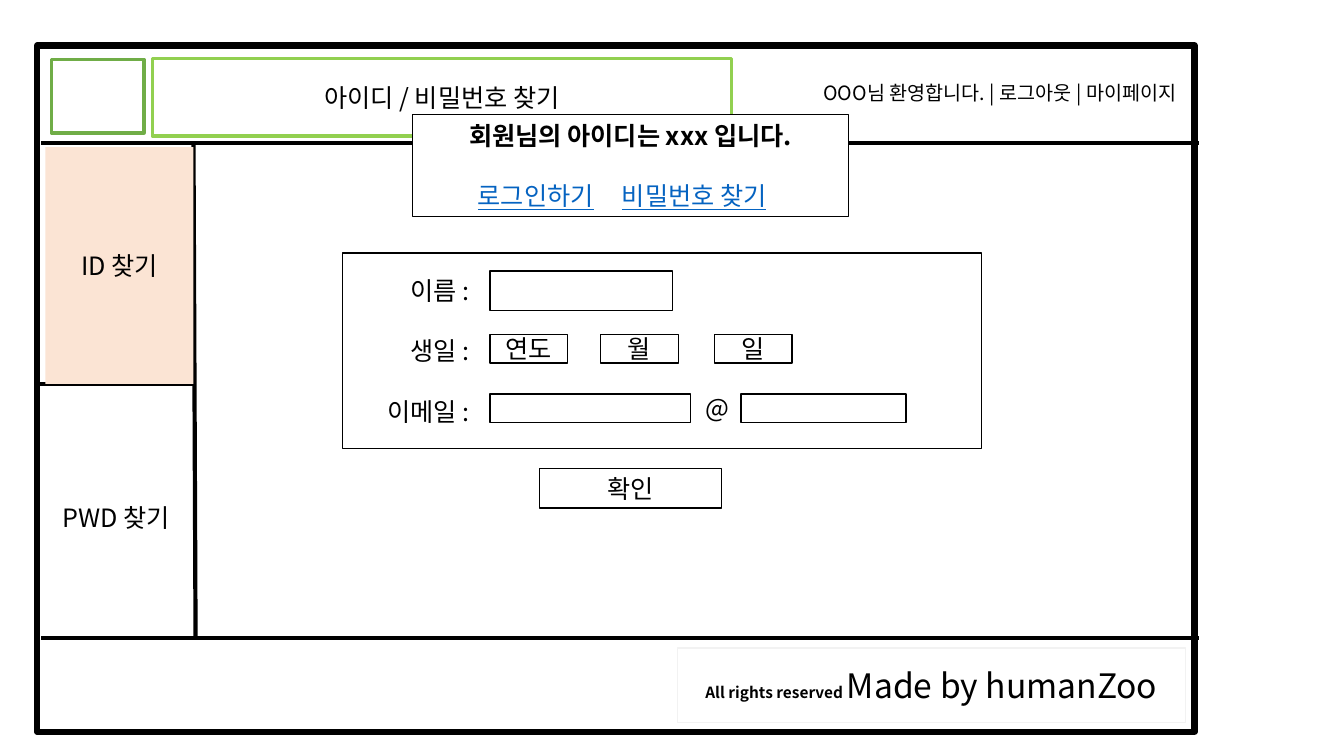
from lxml.etree import SubElement
from pptx import Presentation
from pptx.dml.color import RGBColor as Rgb
from pptx.enum.shapes import MSO_CONNECTOR as Conn, MSO_SHAPE as Kind
from pptx.enum.text import MSO_ANCHOR as Anchor, MSO_AUTO_SIZE as Fit, PP_ALIGN as Align
from pptx.oxml.ns import qn
from pptx.util import Pt

FONT = "Noto Sans CJK KR"
BLACK, WHITE, LINK = "000000", "FFFFFF", "0563C1"
LEAD = 21.6


def tint(item, code):
    """Set a fill or font colour from a hex string."""
    if hasattr(item, "solid"):
        item.solid()
        item.fore_color.rgb = Rgb.from_string(code)
    else:
        item.color.rgb = Rgb.from_string(code)


def style(font, size=18, bold=False, color=BLACK):
    """Format a paragraph or run font."""
    font.name, font.size, font.bold = FONT, Pt(size), bold
    tint(font, color)
    SubElement(font._element, qn("a:ea"), typeface=FONT)


def paint(shape, fill, line, width):
    """Fill and outline a shape, with its text in the middle."""
    tint(shape.fill, fill)
    if line:
        tint(shape.line.fill, line)
        shape.line.width = Pt(width)
    else:
        shape.line.fill.background()
    shape.text_frame.vertical_anchor = Anchor.MIDDLE


def write(para, text, align=Align.CENTER, **look):
    """Put styled text in a paragraph."""
    para.text = text
    para.alignment = align
    style(para.font, **look)


def box(slide, left, top, wide, high, text="", fill=WHITE, line=BLACK,
        width=1, align=Align.CENTER, **look):
    """Add a rectangle with optional text."""
    shape = slide.shapes.add_shape(Kind.RECTANGLE, Pt(left), Pt(top), Pt(wide), Pt(high))
    shape.shadow.inherit = False
    paint(shape, fill, line, width)
    if text:
        write(shape.text_frame.paragraphs[0], text, align, **look)
    return shape


def rule(slide, *ends):
    """Add a thick black line."""
    line = slide.shapes.add_connector(Conn.STRAIGHT, *map(Pt, ends))
    tint(line.line.fill, BLACK)
    line.line.width = Pt(3)
    SubElement(line._element.spPr, qn("a:effectLst"))


def head(slide, text):
    """Place the title in front of the shapes made so far."""
    title = slide.shapes.title
    title.left, title.top, title.width, title.height = map(Pt, (108.7, 41.8, 414, 55.4))
    slide.shapes._spTree.append(title._element)
    paint(title, WHITE, "92D050", 2.25)
    title.text_frame.auto_size = Fit.NONE
    write(title.text_frame.paragraphs[0], text)


def space(para, first):
    """Set one line of text, with a line of room above all but the first."""
    para.line_spacing = Pt(LEAD)
    if not first:
        para.space_before = Pt(LEAD)


def form(slide):
    """Draw the search form with its labels and fields."""
    panel = box(slide, 244.8, 180.7, 456.5, 139.7)
    frame = panel.text_frame
    frame.margin_right = Pt(366)
    for row, label in enumerate(("이름 :", "생일 :", "이메일 :")):
        para = frame.add_paragraph() if row else frame.paragraphs[0]
        space(para, not row)
        write(para, label, Align.RIGHT)
    left = 349.9
    box(slide, left, 193.7, 130.3, 28.1)
    for start, part in ((left, "연도"), (429.1, "월"), (510.5, "일")):
        box(slide, start, 239, 55.4, 20.2, part)
    box(slide, left, 281.5, 143.3, 20.2)
    box(slide, 496.8, 281.5, 25.2, 19.4, "@", line=None)
    box(slide, 529.2, 281.5, 118.1, 20.2)
    box(slide, 385.2, 334.8, 130.3, 28.1, "확인")


def popup(slide):
    """Draw the result message with its two links."""
    frame = box(slide, 294.5, 82.1, 311.8, 72.7, "회원님의 아이디는 xxx 입니다.",
                width=0.75, bold=True).text_frame
    frame.vertical_anchor = Anchor.TOP
    space(frame.paragraphs[0], True)
    links = frame.add_paragraph()
    space(links, False)
    links.alignment = Align.LEFT
    stops = SubElement(links._p.get_or_add_pPr(), qn("a:tabLst"))
    for stop in (39.7, 142.6):
        SubElement(stops, qn("a:tab"), pos=str(Pt(stop)), algn="l")
    style(links.font, color=LINK)
    for text in ("로그인하기", "비밀번호 찾기"):
        links.add_run().text = "\t"
        link = links.add_run()
        link.text = text
        link.font.underline = True


def main():
    """Build and save the slide."""
    deck = Presentation()
    deck.slide_width, deck.slide_height = Pt(960), Pt(540)
    slide = deck.slides.add_slide(deck.slide_layouts[5])
    box(slide, 26.6, 32.4, 826.6, 490.3, width=4.5)
    for level in (102.2, 455.8):
        rule(slide, 29.5, level, 856.1, level)
    foot = box(slide, 483.8, 463, 362.9, 53.3, line="F2F2F2")
    para = foot.text_frame.paragraphs[0]
    para.alignment = Align.CENTER
    for text, size, bold in (("All rights reserved ", 11, True), ("Made by humanZoo", 24, False)):
        run = para.add_run()
        run.text = text
        style(run.font, size, bold)
    box(slide, 36.7, 42.5, 66.2, 52.6, line="70AD47", width=2.25)
    box(slide, 529.2, 41.8, 318.2, 49, "OOO님 환영합니다. | 로그아웃 | 마이페이지",
        line=None, align=Align.RIGHT, size=14)
    head(slide, "아이디 / 비밀번호 찾기")
    rule(slide, 138.2, 101.5, 139.7, 456.5)
    rule(slide, 26.6, 274.3, 138.2, 274.3)
    box(slide, 32.4, 105.1, 105.8, 169.2, "ID 찾기", fill="FBE4D4", line=None)
    box(slide, 32.4, 334.1, 100.8, 71.3, "PWD 찾기", line=None)
    form(slide)
    popup(slide)
    deck.save("out.pptx")


if __name__ == "__main__":
    main()
